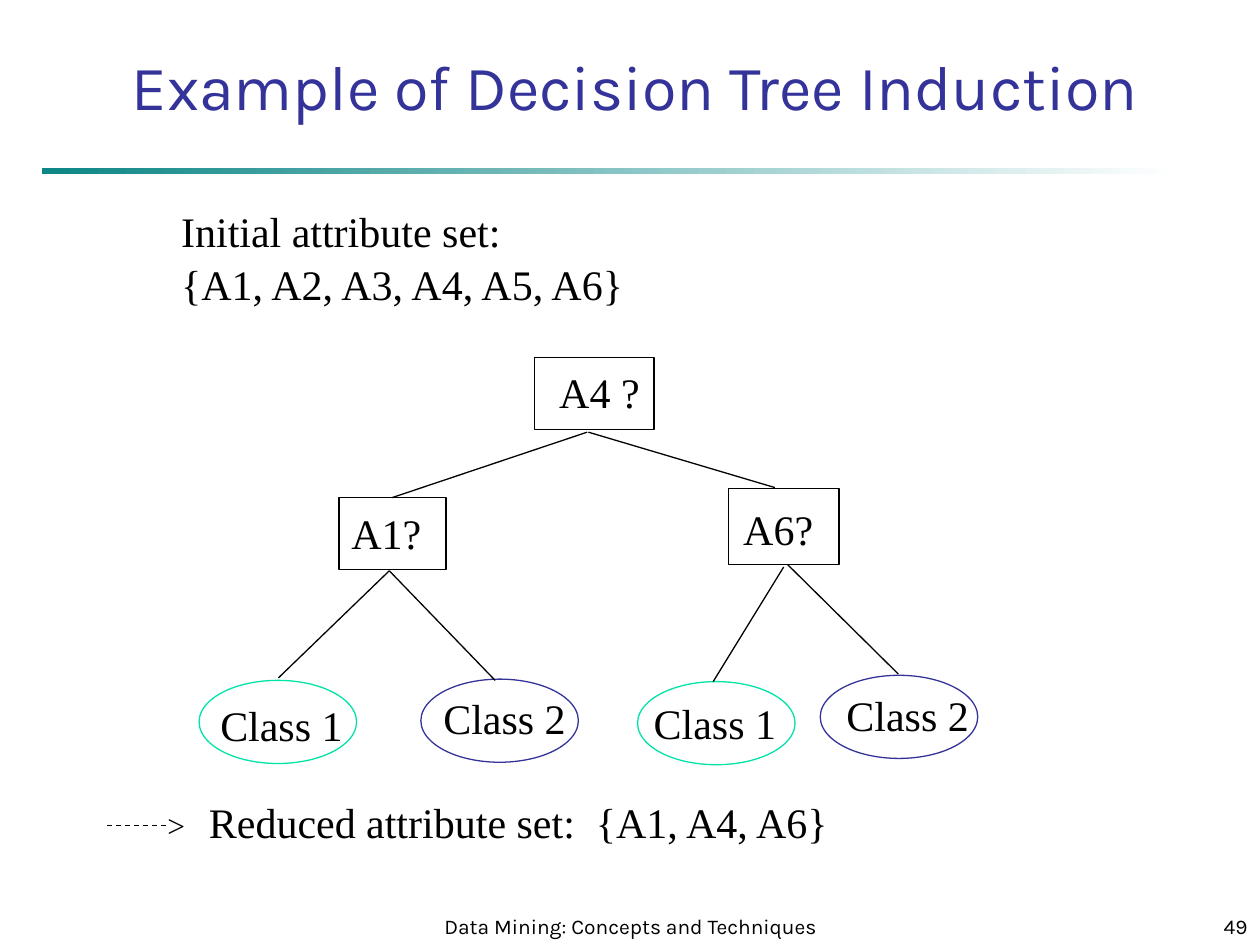
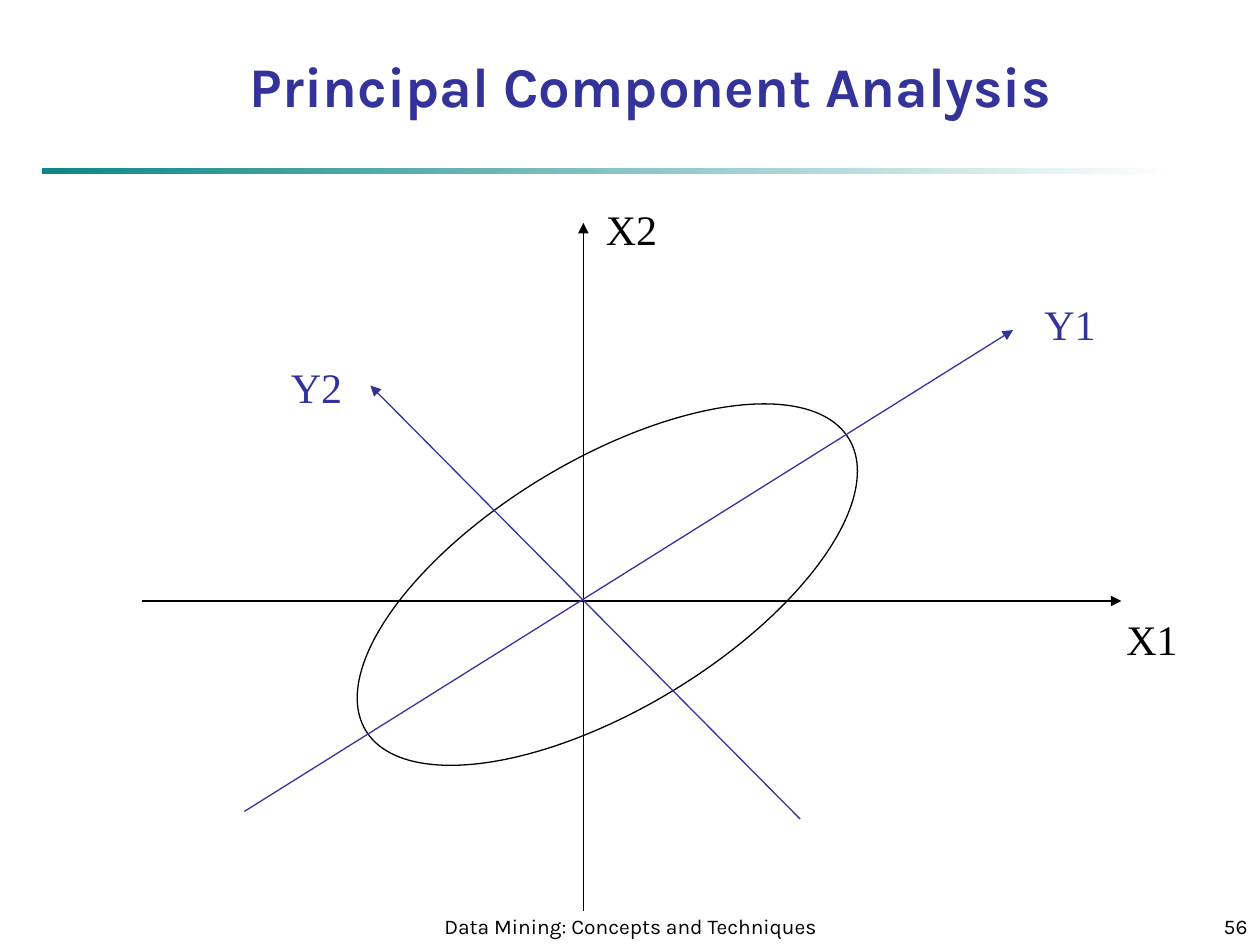
from lxml import etree
from pptx import Presentation
from pptx import util as u
from pptx.dml.color import RGBColor
from pptx.enum import dml, shapes, text
from pptx.oxml import ns

PX = 9144
BLACK = RGBColor(0x00, 0x00, 0x00)
INDIGO = RGBColor(0x33, 0x33, 0x99)
MINT = RGBColor(0x00, 0xE4, 0xA8)
TEAL = RGBColor(0x0D, 0x86, 0x86)
WHITE = RGBColor(0xFF, 0xFF, 0xFF)
SANS, SERIF = "Karla", "Times New Roman"
LEFT, CENTER, RIGHT = text.PP_ALIGN.LEFT, text.PP_ALIGN.CENTER, text.PP_ALIGN.RIGHT
TOP, BOTTOM = text.MSO_ANCHOR.TOP, text.MSO_ANCHOR.BOTTOM
RECT, OVAL = shapes.MSO_SHAPE.RECTANGLE, shapes.MSO_SHAPE.OVAL
STRAIGHT = shapes.MSO_CONNECTOR.STRAIGHT


def write(sp, at, value, font=SERIF, size=24, color=BLACK, bold=False,
          align=LEFT, anchor=TOP, wrap=False):
    sp.left, sp.top, sp.width, sp.height = [n * PX for n in at]
    tf = sp.text_frame
    tf.text = value
    tf.word_wrap = wrap
    tf.auto_size = text.MSO_AUTO_SIZE.NONE
    tf.vertical_anchor = anchor
    for i, p in enumerate(tf.paragraphs):
        p.alignment = align
        p.space_before = u.Pt(1.5 if i else 0)
        for r in p.runs:
            r.font.name, r.font.size, r.font.bold = font, u.Pt(size), bold
            r.font.color.rgb = color


def stroke(sp, color=BLACK, arrow=False, dash=None):
    sp.line.color.rgb = color
    sp.line.width = u.Pt(0.75)
    if dash:
        sp.line.dash_style = dash
    spPr = sp._element.spPr
    if arrow:
        etree.SubElement(spPr.find(ns.qn("a:ln")), ns.qn("a:tailEnd"), type="triangle")
    etree.SubElement(spPr, ns.qn("a:effectLst"))


prs = Presentation()
prs.slide_width, prs.slide_height = 1000 * PX, 750 * PX

pages = [
    ("Example of Decision Tree Induction", (83, 33, 842, 130), 36, False, "49"),
    ("Principal Component Analysis", (150, 36, 733, 64), 32, True, "56"),
]
for title, at, size, bold, number in pages:
    s = prs.slides.add_slide(prs.slide_layouts[5])
    write(s.shapes.title, at, title, font=SANS, size=size, color=INDIGO,
          bold=bold, align=CENTER, wrap=True)
    band = s.shapes.add_shape(RECT, 33 * PX, 133 * PX, 900 * PX, 5 * PX)
    band.shadow.inherit = False
    band.line.fill.background()
    band.fill.gradient()
    band.fill.gradient_angle = 0
    for stop, color in zip(band.fill.gradient_stops, (TEAL, WHITE)):
        stop.color.rgb = color
    for footer, left, width, align in [
        ("Data Mining: Concepts and Techniques", 342, 317, CENTER),
        (number, 792, 208, RIGHT),
    ]:
        write(s.shapes.add_textbox(0, 0, 0, 0), (left, 708, width, 42), footer,
              font=SANS, size=12, align=align, anchor=BOTTOM, wrap=True)

tree, pca = prs.slides

nodes = [
    (RECT, (424, 284, 95, 57), BLACK, "A4 ?", (434, 286, 97, 50)),
    (RECT, (269, 395, 85, 57), BLACK, "A1?", (269, 398, 75, 50)),
    (RECT, (578, 388, 88, 60), BLACK, "A6?", (580, 395, 75, 50)),
    (OVAL, (158, 540, 125, 66), MINT, "Class 1", (165, 550, 117, 50)),
    (OVAL, (334, 539, 125, 66), INDIGO, "Class 2", (342, 545, 117, 50)),
    (OVAL, (506, 541, 125, 66), MINT, "Class 1", (509, 549, 117, 50)),
    (OVAL, (651, 536, 125, 66), INDIGO, "Class 2", (662, 542, 117, 50)),
]
for kind, at, color, label, label_at in nodes:
    sp = tree.shapes.add_shape(kind, *[n * PX for n in at])
    sp.fill.background()
    stroke(sp, color)
    write(tree.shapes.add_textbox(0, 0, 0, 0), label_at, label)

branches = [
    (466, 343, 311, 395), (467, 343, 615, 387),
    (309, 453, 221, 538), (309, 453, 393, 540),
    (622, 450, 566, 541), (625, 448, 713, 535),
]
for ends in branches:
    stroke(tree.shapes.add_connector(STRAIGHT, *[n * PX for n in ends]))

result_line = tree.shapes.add_connector(STRAIGHT, 85 * PX, 655 * PX, 133 * PX, 655 * PX)
stroke(result_line, dash=dml.MSO_LINE.DASH)
for value, at, size in [
    ("Initial attribute set:\n{A1, A2, A3, A4, A5, A6}", (134, 158, 380, 90), 24),
    (">", (123, 635, 34, 40), 18),
    ("Reduced attribute set:  {A1, A4, A6}", (156, 627, 515, 50), 24),
]:
    write(tree.shapes.add_textbox(0, 0, 0, 0), at, value, size=size)

cloud = pca.shapes.add_shape(OVAL, 258 * PX, 365 * PX, 448 * PX, 198 * PX)
cloud.rotation = 328.9
cloud.fill.background()
stroke(cloud)

axes = [
    ("X1", BLACK, (113, 477, 890, 477), (884, 482)),
    ("X2", BLACK, (463, 723, 463, 177), (471, 157)),
    ("Y1", INDIGO, (194, 644, 804, 262), (819, 232)),
    ("Y2", INDIGO, (635, 650, 294, 306), (221, 282)),
]
for name, color, ends, corner in axes:
    stroke(pca.shapes.add_connector(STRAIGHT, *[n * PX for n in ends]), color, arrow=True)
    write(pca.shapes.add_textbox(0, 0, 0, 0), (*corner, 61, 50), name, color=color)

prs.save("out.pptx")
